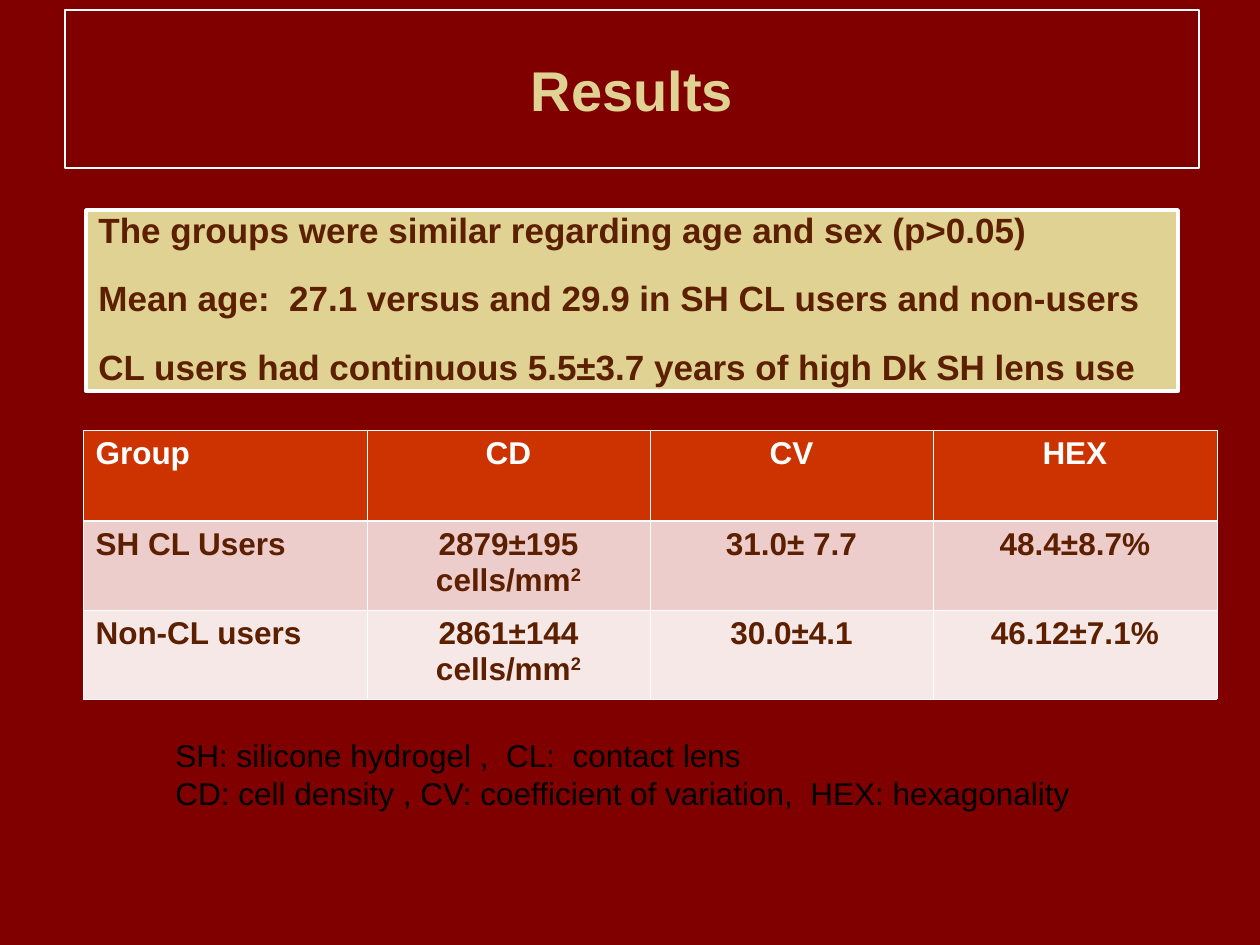
"""Build the Results slide with a summary box, a comparison table and a key."""
from lxml.etree import SubElement
from pptx import Presentation
from pptx.dml.color import RGBColor
from pptx.enum.shapes import MSO_SHAPE as SHAPE
from pptx.enum.text import MSO_ANCHOR as ANCHOR, PP_ALIGN as ALIGN
from pptx.oxml.ns import qn
from pptx.util import Pt

TITLE = "Results"
SUMMARY = [
    "The groups were similar regarding age and sex (p>0.05)",
    "Mean age:  27.1 versus and 29.9 in SH CL users and non-users",
    "CL users had continuous 5.5±3.7 years of high Dk SH lens use",
]
ROWS = [
    ("Group", "CD", "CV", "HEX"),
    ("SH CL Users", "2879±195 cells/mm²", "31.0± 7.7", "48.4±8.7%"),
    ("Non-CL users", "2861±144 cells/mm²", "30.0±4.1", "46.12±7.1%"),
]
KEY = [
    "SH: silicone hydrogel ,  CL:  contact lens",
    "CD: cell density , CV: coefficient of variation,  HEX: hexagonality",
]

MAROON = RGBColor(0x80, 0x00, 0x00)
SAND = RGBColor(0xDF, 0xD2, 0x93)
BROWN = RGBColor(0x5C, 0x1F, 0x00)
WHITE = RGBColor(0xFF, 0xFF, 0xFF)
BLACK = RGBColor(0x00, 0x00, 0x00)
ROW_FILLS = [RGBColor(0xCC, 0x33, 0x00), RGBColor(0xEC, 0xCD, 0xCB), RGBColor(0xF6, 0xE8, 0xE7)]

COL_WIDTHS = [284, 283, 283, 284]
ROW_HEIGHTS = [91, 89, 89]
THIN, THICK = 0.45, 1.47


def px(*values):
    return [round(v * 914400 / 126) for v in values]


def write(tf, lines, size=18, color=BLACK, bold=False, align=ALIGN.LEFT,
          anchor=ANCHOR.TOP, spacing=1.0, gap=0):
    tf.word_wrap = True
    tf.vertical_anchor = anchor
    for i, line in enumerate(lines):
        p = tf.paragraphs[0] if i == 0 else tf.add_paragraph()
        p.alignment, p.line_spacing = align, spacing
        p.space_before = Pt(gap if i else 0)
        base, mark, _ = line.partition("²")
        for text in (base, "2") if mark else (base,):
            r = p.add_run()
            r.text = text
            r.font.name, r.font.size, r.font.bold = "Arial", Pt(size), bold
            r.font.color.rgb = color
        if mark:
            r.font._element.set("baseline", "30000")


def outline(sp, width):
    sp.line.color.rgb = WHITE
    sp.line.width = Pt(width)


def set_borders(cell, top, bottom):
    tc_pr = cell._tc.get_or_add_tcPr()
    for side, width in (("L", THIN), ("R", THIN), ("T", top), ("B", bottom)):
        ln = SubElement(tc_pr, qn(f"a:ln{side}"), w=str(Pt(width)))
        SubElement(SubElement(ln, qn("a:solidFill")), qn("a:srgbClr"), val=str(WHITE))


def add_results(s):
    frame = s.shapes.add_table(len(ROWS), len(COL_WIDTHS),
                               *px(83, 430, sum(COL_WIDTHS), sum(ROW_HEIGHTS)))
    table = frame.table
    for col, width in zip(table.columns, px(*COL_WIDTHS)):
        col.width = width
    for row, height in zip(table.rows, px(*ROW_HEIGHTS)):
        row.height = height
    for i, values in enumerate(ROWS):
        for j, value in enumerate(values):
            cell = table.cell(i, j)
            set_borders(cell, THICK if i == 1 else THIN, THICK if i == 0 else THIN)
            cell.fill.solid()
            cell.fill.fore_color.rgb = ROW_FILLS[i]
            write(cell.text_frame, [value], color=BROWN if i else WHITE, bold=True,
                  align=ALIGN.CENTER if j else ALIGN.LEFT)


def main():
    prs = Presentation()
    prs.slide_width, prs.slide_height = px(1260, 945)
    s = prs.slides.add_slide(prs.slide_layouts[5])
    s.background.fill.solid()
    s.background.fill.fore_color.rgb = MAROON

    title = s.shapes.title
    title.left, title.top, title.width, title.height = px(65, 10, 1134, 158)
    outline(title, 1.5)
    write(title.text_frame, [TITLE], size=32, color=SAND, bold=True,
          align=ALIGN.CENTER, anchor=ANCHOR.MIDDLE)

    add_results(s)

    box = s.shapes.add_shape(SHAPE.RECTANGLE, *px(86, 210, 1092, 181))
    box.shadow.inherit = False
    box.fill.solid()
    box.fill.fore_color.rgb = SAND
    outline(box, 2)
    write(box.text_frame, SUMMARY, size=20, color=BROWN, bold=True, spacing=0.8, gap=20)

    key = s.shapes.add_textbox(*px(163, 730, 939, 164))
    write(key.text_frame, KEY)

    prs.save("out.pptx")


if __name__ == "__main__":
    main()
